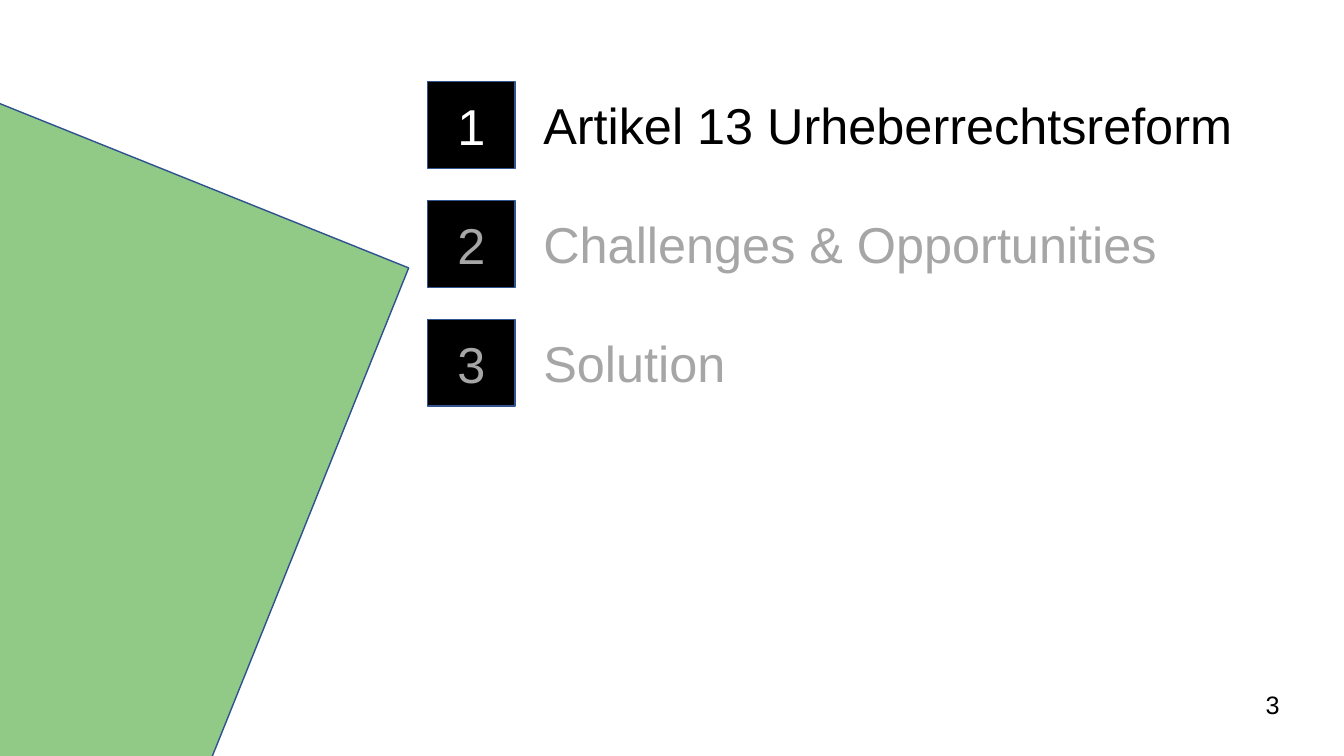
from dataclasses import dataclass

from lxml import etree
from pptx import Presentation
from pptx.dml.color import RGBColor
from pptx.enum.shapes import MSO_SHAPE
from pptx.enum.text import MSO_ANCHOR, PP_ALIGN
from pptx.oxml.ns import qn
from pptx.util import Inches, Pt

RECTANGLE = MSO_SHAPE.RECTANGLE
MIDDLE, TOP = MSO_ANCHOR.MIDDLE, MSO_ANCHOR.TOP
LEFT, CENTER, RIGHT = PP_ALIGN.LEFT, PP_ALIGN.CENTER, PP_ALIGN.RIGHT


@dataclass(frozen=True)
class Theme:
    font: str = "Arial"
    agenda_size: int = 36
    page_size: int = 18
    black: str = "000000"
    white: str = "FFFFFF"
    muted: str = "A6A6A6"
    green: str = "61B453"
    green_opacity: int = 70
    panel_line: str = "2F528F"
    badge_line: str = "325491"


THEME = Theme()

# Agenda: title, title width, whether it is the current section
AGENDA = [
    ("Artikel 13 Urheberrechtsreform", 7.46, True),
    ("Challenges & Opportunities", 7.92, False),
    ("Solution", 3.27, False),
]
AGENDA_TOP, AGENDA_STEP = 0.81, 1.18
BADGE_LEFT, BADGE_WIDTH, BADGE_HEIGHT = 4.24, 0.87, 0.86
TITLE_LEFT, TITLE_HEIGHT = 5.29, 0.71


def write(frame, text, size, color, align, anchor=TOP):
    frame.word_wrap = True
    frame.vertical_anchor = anchor
    paragraph = frame.paragraphs[0]
    paragraph.alignment = align
    run = paragraph.add_run()
    run.text = text
    run.font.name = THEME.font
    run.font.size = Pt(size)
    run.font.color.rgb = RGBColor.from_string(color)


def add_box(slide, left, top, width, height, fill, line):
    box = slide.shapes.add_shape(
        RECTANGLE, Inches(left), Inches(top), Inches(width), Inches(height))
    box.shadow.inherit = False
    box.fill.solid()
    box.fill.fore_color.rgb = RGBColor.from_string(fill)
    box.line.color.rgb = RGBColor.from_string(line)
    box.line.width = Pt(1)
    return box


def add_label(slide, left, top, width, height, text, size, color, align=LEFT):
    label = slide.shapes.add_textbox(
        Inches(left), Inches(top), Inches(width), Inches(height))
    write(label.text_frame, text, size, color, align)


def set_opacity(shape, percent):
    color = shape.fill._xPr.find(qn("a:solidFill"))[0]
    etree.SubElement(color, qn("a:alpha"), val=str(percent * 1000))


def add_green_panel(slide):
    panel = add_box(slide, -1.52, 1.58, 4.61, 6.06,
                    THEME.green, THEME.panel_line)
    panel.rotation = 21.9
    set_opacity(panel, THEME.green_opacity)


def add_agenda_item(slide, number, title, title_width, current):
    top = AGENDA_TOP + (number - 1) * AGENDA_STEP
    badge = add_box(slide, BADGE_LEFT, top, BADGE_WIDTH, BADGE_HEIGHT,
                    THEME.black, THEME.badge_line)
    write(badge.text_frame, str(number), THEME.agenda_size,
          THEME.white if current else THEME.muted, CENTER, MIDDLE)
    title_top = top + (BADGE_HEIGHT - TITLE_HEIGHT) / 2
    add_label(slide, TITLE_LEFT, title_top, title_width, TITLE_HEIGHT, title,
              THEME.agenda_size, THEME.black if current else THEME.muted)


def main():
    deck = Presentation()
    deck.slide_width, deck.slide_height = Inches(13.33), Inches(7.5)
    slide = deck.slides.add_slide(deck.slide_layouts[6])

    # Background panel and page number
    add_green_panel(slide)
    add_label(slide, 12.02, 6.79, 0.77, 0.4, "3",
              THEME.page_size, THEME.black, RIGHT)

    # Agenda
    for number, (title, width, current) in enumerate(AGENDA, start=1):
        add_agenda_item(slide, number, title, width, current)

    deck.save("out.pptx")


if __name__ == "__main__":
    main()
